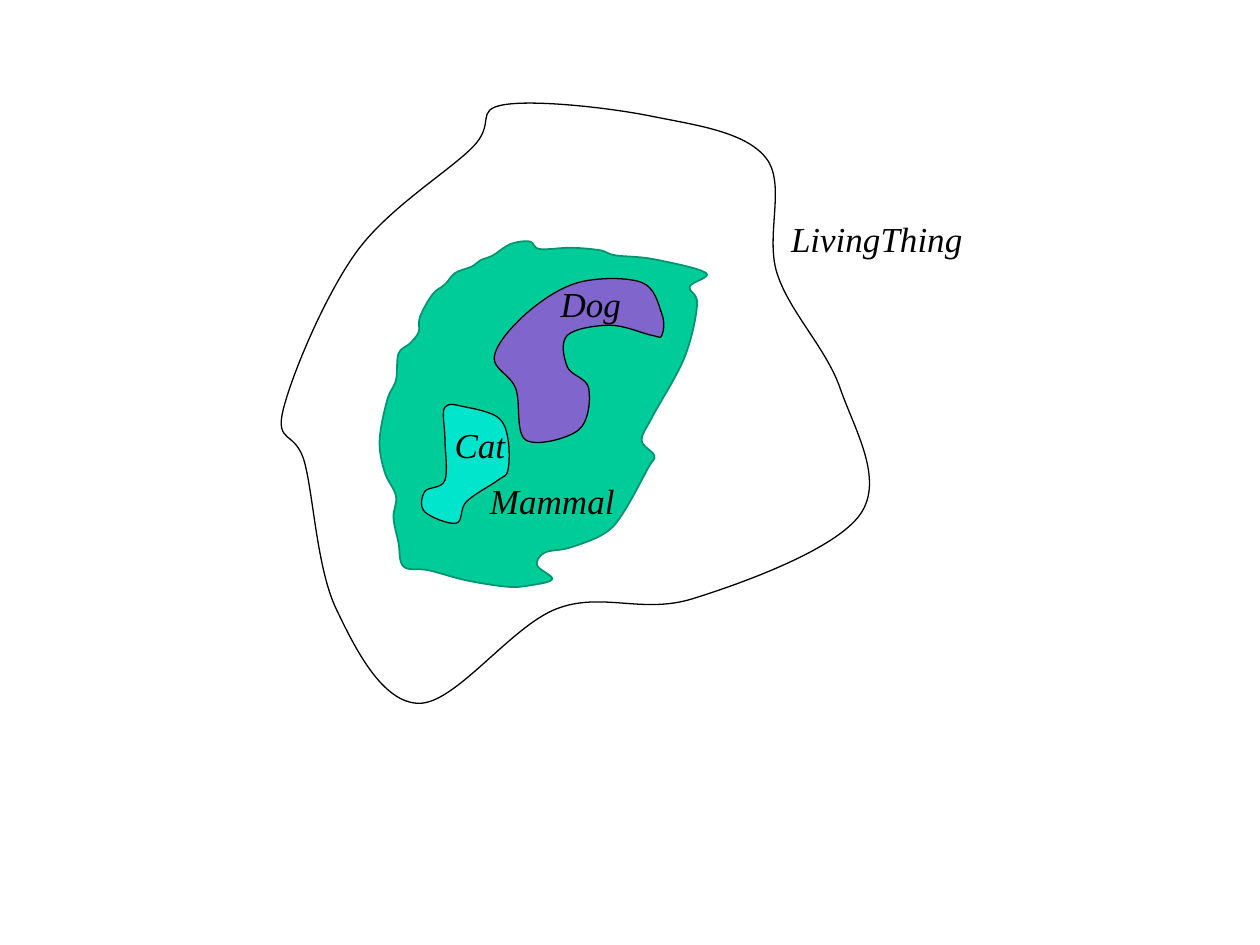
from lxml.etree import SubElement
from pptx import Presentation
from pptx.dml.color import RGBColor
from pptx.enum.text import MSO_AUTO_SIZE
from pptx.oxml import parse_xml
from pptx.oxml.ns import nsdecls, qn
from pptx.util import Inches, Pt

BLACK = RGBColor(0x00, 0x00, 0x00)
GREEN = RGBColor(0x00, 0xCC, 0x99)
FOREST = RGBColor(0x00, 0x95, 0x6F)
CYAN = RGBColor(0x00, 0xFF, 0xFF)
PINK = RGBColor(0xFF, 0x00, 0xFF)

MAMMAL = [
    (4.2, 1.91), (4.05, 1.93), (3.91, 2.02), (3.81, 2.06), (3.74, 2.11),
    (3.61, 2.16), (3.53, 2.25), (3.43, 2.33), (3.33, 2.51), (3.32, 2.63),
    (3.25, 2.72), (3.16, 2.8), (3.14, 3.01), (3.07, 3.17), (3.01, 3.49),
    (3.05, 3.74), (3.14, 3.93), (3.12, 4.1), (3.16, 4.3), (3.2, 4.49),
    (3.4, 4.52), (3.7, 4.6), (4.02, 4.65), (4.2, 4.64), (4.38, 4.59),
    (4.26, 4.48), (4.32, 4.38), (4.52, 4.34), (4.79, 4.23), (4.94, 4.07),
    (5.14, 3.71), (5.19, 3.61), (5.09, 3.49), (5.17, 3.31), (5.43, 2.83),
    (5.53, 2.41), (5.47, 2.27), (5.6, 2.16), (5.18, 2.05), (4.88, 2.02),
    (4.76, 1.98), (4.53, 1.96), (4.28, 1.97),
]
LIVING = [
    (3.75, 1.17), (2.83, 2), (2.25, 3.25), (2.42, 3.67), (2.67, 4.83),
    (3.33, 5.58), (4.42, 4.83), (5.5, 4.75), (6.83, 4.08), (6.67, 3.08),
    (6.17, 2.17), (6.08, 1.25), (5.17, 0.92), (4, 0.83),
]
CAT = [
    (3.54, 3.48), (3.54, 3.81), (3.38, 3.9), (3.38, 4.06), (3.63, 4.15),
    (3.71, 3.98), (3.96, 3.81), (4.04, 3.73), (4.04, 3.48), (3.96, 3.31),
    (3.71, 3.23), (3.54, 3.23),
]
DOG = [
    (4.85, 2.58), (4.51, 2.66), (4.51, 2.91), (4.68, 3.08), (4.6, 3.41),
    (4.18, 3.49), (4.1, 3.08), (3.93, 2.83), (4.18, 2.49), (4.6, 2.24),
    (5.1, 2.24), (5.26, 2.49), (5.26, 2.66), (5.18, 2.66),
]


def smooth(knots):
    count = len(knots)
    points = [knots[0]]
    for i in range(count):
        prior, start, end, after = (knots[(i + k) % count] for k in (-1, 0, 1, 2))
        points.append(tuple(s + (e - p) / 6 for p, s, e in zip(prior, start, end)))
        points.append(tuple(e - (a - s) / 6 for s, e, a in zip(start, end, after)))
        points.append(end)
    return points


def curve(path):
    lines = path.findall(qn("a:lnTo"))
    for trio in zip(lines[::3], lines[1::3], lines[2::3]):
        bend = parse_xml(f"<a:cubicBezTo {nsdecls('a')}/>")
        trio[0].addprevious(bend)
        for line in trio:
            bend.append(line[0])
            path.remove(line)


def add_blob(shapes, box, knots, fill=None, edge=BLACK, width=0.75, alpha=None):
    points = smooth(knots)
    left, top = map(min, zip(*points))
    local = [(Inches(x - left), Inches(y - top)) for x, y in points]
    pen = shapes.build_freeform(*local[0])
    pen.add_line_segments(local[1:], close=True)
    blob = pen.convert_to_shape(*map(Inches, box))
    curve(blob._element.find(".//" + qn("a:path")))
    blob.shadow.inherit = False
    blob.line.color.rgb = edge
    blob.line.width = Pt(width)
    if fill is None:
        blob.fill.background()
        return
    blob.fill.solid()
    blob.fill.fore_color.rgb = fill
    if alpha:
        tint = blob._element.spPr.find(qn("a:solidFill"))[0]
        SubElement(tint, qn("a:alpha")).set("val", str(alpha * 1000))


def add_label(shapes, box, text):
    label = shapes.add_textbox(*map(Inches, box))
    frame = label.text_frame
    frame.text = text
    frame.word_wrap = False
    frame.auto_size = MSO_AUTO_SIZE.SHAPE_TO_FIT_TEXT
    font = frame.paragraphs[0].runs[0].font
    font.name = "Times New Roman"
    font.size = Pt(20)
    font.italic = True
    font.color.rgb = BLACK


def add_kind(slide, box, knots, fill, place, text):
    group = slide.shapes.add_group_shape()
    add_blob(group.shapes, box, knots, fill, alpha=50)
    left, top, width, height = place
    add_label(group.shapes, (box[0] + left, box[1] + top, width, height), text)


def main():
    deck = Presentation()
    deck.slide_width, deck.slide_height = Inches(10), Inches(7.5)
    slide = deck.slides.add_slide(deck.slide_layouts[6])
    add_blob(slide.shapes, (3.01, 1.91), MAMMAL, GREEN, FOREST, 1)
    add_blob(slide.shapes, (2.18, 0.79), LIVING)
    add_label(slide.shapes, (6.18, 1.68, 1.56, 0.44), "LivingThing")
    add_kind(slide, (3.33, 3.19), CAT, CYAN, (0.18, 0.12, 0.6, 0.44), "Cat")
    add_kind(slide, (3.91, 2.2), DOG, PINK, (0.44, -0.01, 0.68, 0.44), "Dog")
    add_label(slide.shapes, (3.79, 3.76, 1.19, 0.44), "Mammal")
    deck.save("out.pptx")


if __name__ == "__main__":
    main()
